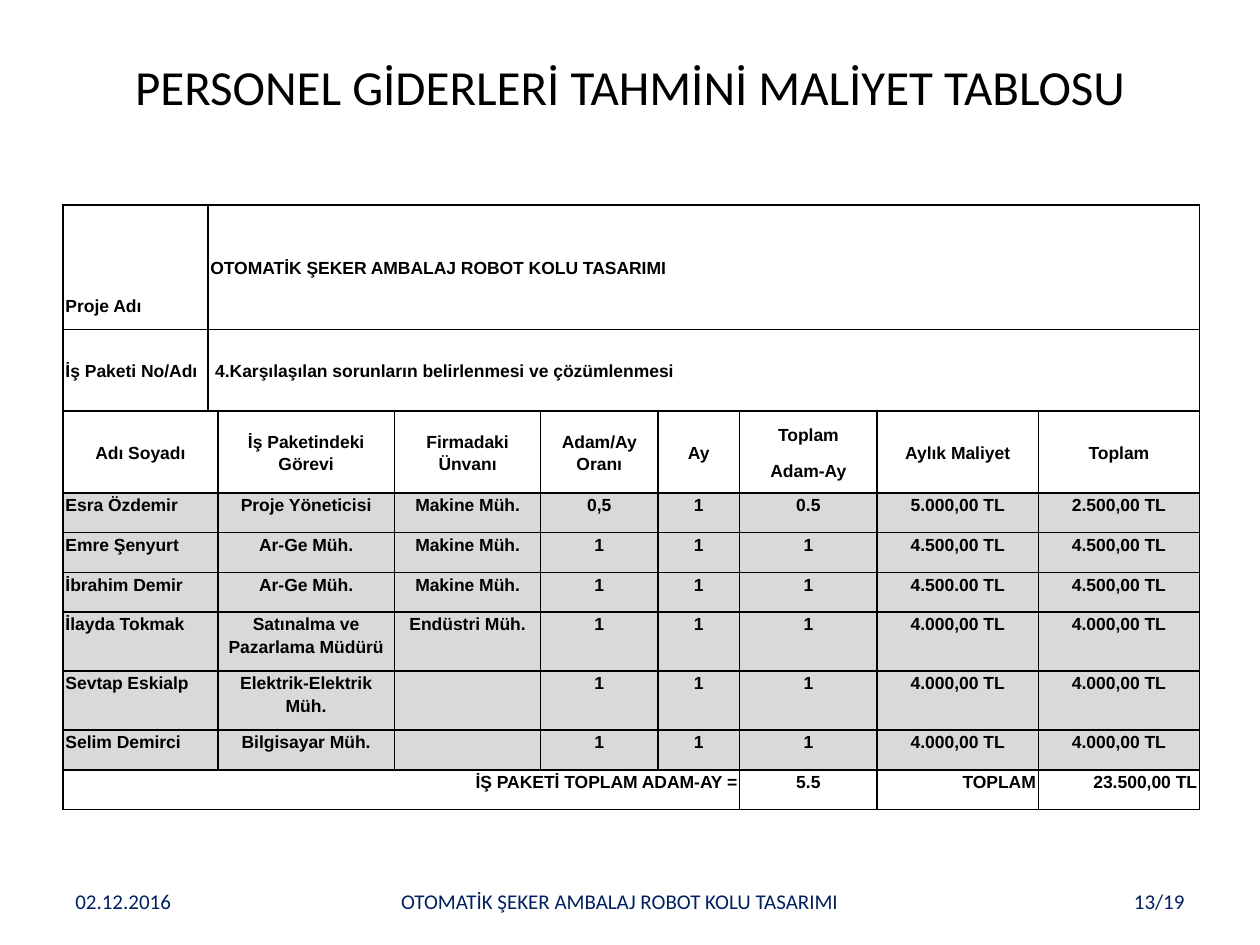
from lxml import etree
from pptx import Presentation, util as u
from pptx.dml.color import RGBColor
from pptx.enum import text
from pptx.oxml import ns

BLACK = RGBColor(0x00, 0x00, 0x00)
NAVY = RGBColor(0x00, 0x20, 0x60)
GREY = RGBColor(0xD9, 0xD9, 0xD9)

LEFT, CENTER, RIGHT = text.PP_ALIGN.LEFT, text.PP_ALIGN.CENTER, text.PP_ALIGN.RIGHT
MIDDLE, TOP, BOTTOM = (text.MSO_ANCHOR.MIDDLE, text.MSO_ANCHOR.TOP,
                       text.MSO_ANCHOR.BOTTOM)

TITLE_FONT = {"name": "Calibri", "size": u.Pt(28)}
FOOTER_FONT = {"name": "Calibri", "size": u.Pt(12)}
CELL_FONT = {"name": "Arial", "size": u.Pt(10), "bold": True}
HEADER_SPACING = {"line_spacing": 1.15, "space_after": u.Pt(8)}
BODY_SPACING = {"line_spacing": 1.15, "space_before": u.Pt(4.8),
                "space_after": u.Pt(3.6)}
CELL_MARGINS = {"margin_left": u.Cm(0.05), "margin_right": u.Cm(0.05),
                "margin_top": 0, "margin_bottom": 0}

COLUMN_WIDTHS = [2.92, 0.2, 3.56, 2.95, 2.36, 1.65, 2.77, 3.25, 3.25]
ROW_HEIGHTS = [2.51, 1.65, 1.65, 0.8, 0.8, 0.8, 1.19, 1.19, 0.8, 0.8]

PROJECT = "OTOMATİK ŞEKER AMBALAJ ROBOT KOLU TASARIMI"
PROJECT_ROWS = [
    ("Proje Adı", PROJECT),
    ("İş Paketi No/Adı", " 4.Karşılaşılan sorunların belirlenmesi ve çözümlenmesi"),
]
HEADINGS = ["Adı Soyadı", "İş Paketindeki Görevi", "Firmadaki Ünvanı",
            "Adam/Ay Oranı", "Ay", "Toplam\nAdam-Ay", "Aylık Maliyet", "Toplam"]
STAFF = [
    ("Esra Özdemir", "Proje Yöneticisi", "Makine Müh.", "0,5", "1", "0.5",
     "5.000,00 TL", "2.500,00 TL"),
    ("Emre Şenyurt", "Ar-Ge Müh.", "Makine Müh.", "1", "1", "1",
     "4.500,00 TL", "4.500,00 TL"),
    ("İbrahim Demir", "Ar-Ge Müh.", "Makine Müh.", "1", "1", "1",
     "4.500.00 TL", "4.500,00 TL"),
    ("İlayda Tokmak", "Satınalma ve Pazarlama Müdürü", "Endüstri Müh.", "1", "1",
     "1", "4.000,00 TL", "4.000,00 TL"),
    ("Sevtap Eskialp", "Elektrik-Elektrik Müh.", "", "1", "1", "1",
     "4.000,00 TL", "4.000,00 TL"),
    ("Selim Demirci", "Bilgisayar Müh.", "", "1", "1", "1",
     "4.000,00 TL", "4.000,00 TL"),
]
TOTALS = [(0, "İŞ PAKETİ TOPLAM ADAM-AY =", RIGHT), (6, "5.5", CENTER),
          (7, "TOPLAM", RIGHT), (8, "23.500,00 TL", RIGHT)]


def apply_format(target, values):
    for attribute, value in values.items():
        setattr(target, attribute, value)


def write(frame, content, align, font, color, spacing):
    frame.text = content
    for paragraph in frame.paragraphs:
        apply_format(paragraph, {"alignment": align, **spacing})
        for run in paragraph.runs:
            apply_format(run.font, font)
            run.font.color.rgb = color


def add_label(slide, place, content, align, font, color):
    label = slide.shapes.add_textbox(*(u.Cm(length) for length in place))
    apply_format(label.text_frame, {"word_wrap": True, "vertical_anchor": MIDDLE})
    write(label.text_frame, content, align, font, color, {})


def add_borders(cell):
    properties = cell._tc.get_or_add_tcPr()
    for position, side in enumerate(("lnL", "lnR", "lnT", "lnB")):
        border = etree.Element(ns.qn(f"a:{side}"), w=str(u.Pt(1)))
        fill = etree.SubElement(border, ns.qn("a:solidFill"))
        etree.SubElement(fill, ns.qn("a:srgbClr"), val=str(BLACK))
        properties.insert(position, border)


def fill_cell(cell, content, align, anchor, spacing):
    apply_format(cell, {**CELL_MARGINS, "vertical_anchor": anchor})
    write(cell.text_frame, content, align, CELL_FONT, BLACK, spacing)


def staff_columns(values):
    return zip([0, *range(2, len(COLUMN_WIDTHS))], values)


def add_cost_table(slide):
    frame = slide.shapes.add_table(
        len(ROW_HEIGHTS), len(COLUMN_WIDTHS), u.Cm(1.27), u.Cm(4.13),
        u.Cm(sum(COLUMN_WIDTHS)), u.Cm(sum(ROW_HEIGHTS)))
    costs = frame.table
    apply_format(costs, {"first_row": False, "horz_banding": False})
    for column, width in zip(costs.columns, COLUMN_WIDTHS):
        column.width = u.Cm(width)
    for row, height in zip(costs.rows, ROW_HEIGHTS):
        row.height = u.Cm(height)

    heading_row = len(PROJECT_ROWS)
    first_staff = heading_row + 1
    total_row = first_staff + len(STAFF)
    for row_index, row in enumerate(costs.rows):
        for cell in row.cells:
            if first_staff <= row_index < total_row:
                cell.fill.solid()
                cell.fill.fore_color.rgb = GREY
            else:
                cell.fill.background()
            add_borders(cell)

    for row_index, (name, value) in enumerate(PROJECT_ROWS):
        costs.cell(row_index, 1).merge(costs.cell(row_index, 8))
        for column, content in enumerate((name, value)):
            fill_cell(costs.cell(row_index, column), content, LEFT, MIDDLE,
                      HEADER_SPACING)
    apply_format(costs.cell(0, 0), {"vertical_anchor": BOTTOM,
                                    "margin_bottom": u.Cm(0.27)})

    for row_index in range(heading_row, total_row):
        costs.cell(row_index, 0).merge(costs.cell(row_index, 1))
    for column, heading in staff_columns(HEADINGS):
        fill_cell(costs.cell(heading_row, column), heading, CENTER, MIDDLE,
                  HEADER_SPACING)
    for row_index, person in enumerate(STAFF, first_staff):
        for column, content in staff_columns(person):
            fill_cell(costs.cell(row_index, column), content,
                      CENTER if column else LEFT, TOP, BODY_SPACING)

    costs.cell(total_row, 0).merge(costs.cell(total_row, 5))
    for column, content, align in TOTALS:
        fill_cell(costs.cell(total_row, column), content, align, TOP, BODY_SPACING)


def main():
    deck = Presentation()
    apply_format(deck, {"slide_width": u.Cm(25.4), "slide_height": u.Cm(19.05)})
    slide = deck.slides.add_slide(deck.slide_layouts[6])
    add_label(slide, (1.27, 0.76, 22.86, 1.96),
              "PERSONEL GİDERLERİ TAHMİNİ MALİYET TABLOSU", CENTER, TITLE_FONT, BLACK)
    for left, width, content, align in [(1.27, 5.92, "02.12.2016", LEFT),
                                        (4.9, 15.19, PROJECT, CENTER),
                                        (18.21, 5.92, "13/19", RIGHT)]:
        add_label(slide, (left, 17.65, width, 1.02), content, align,
                  FOOTER_FONT, NAVY)
    add_cost_table(slide)
    deck.save("out.pptx")


if __name__ == "__main__":
    main()
